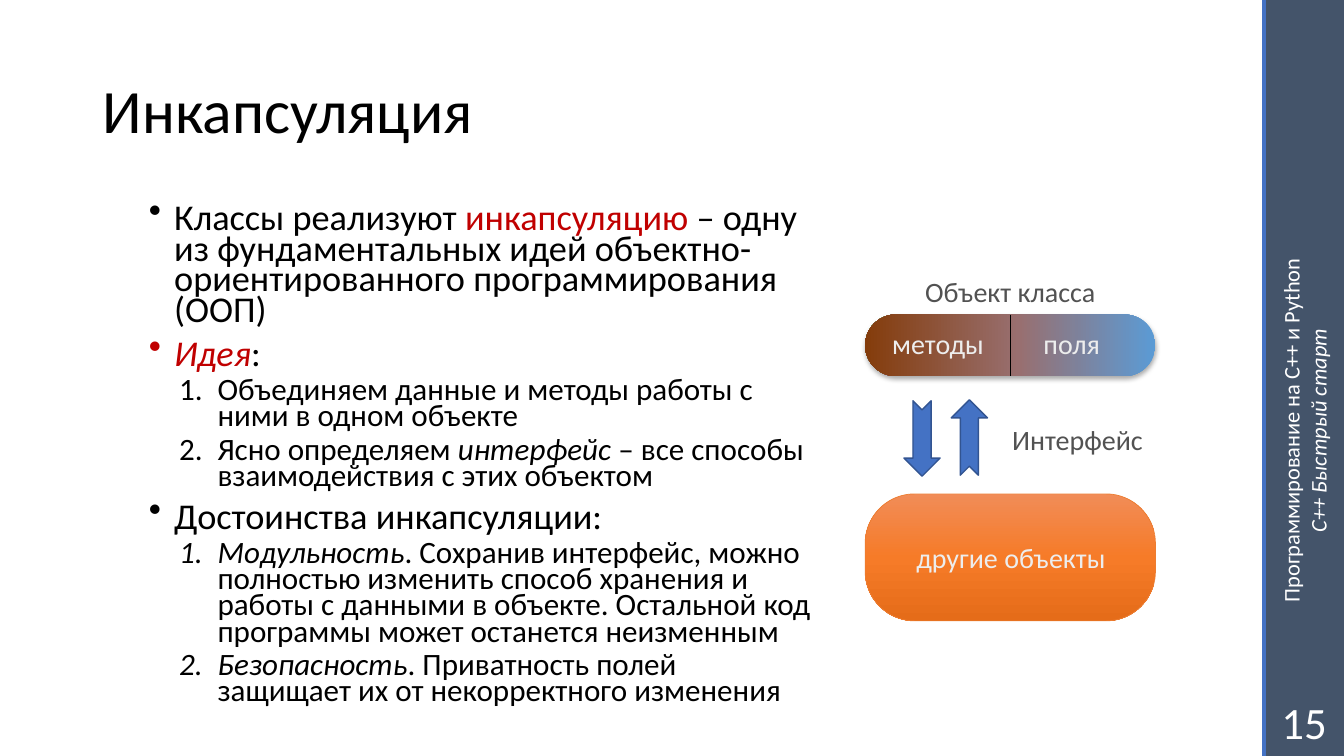
from dataclasses import dataclass

from lxml import etree
from pptx import Presentation
from pptx.dml.color import RGBColor
from pptx.enum.shapes import MSO_CONNECTOR as Connector, MSO_SHAPE as Shape
from pptx.enum.text import MSO_ANCHOR as Anchor, PP_ALIGN as Align
from pptx.oxml import parse_xml
from pptx.oxml.ns import nsdecls, qn
from pptx.util import Inches, Pt

FONT = "Calibri"
COLORS = {
    "white": "FFFFFF", "text": "000000", "accent": "C00000",
    "sidebar": "44546A", "blue": "4472C4", "blue edge": "325491",
    "pale": "EDEDED", "label": "525252", "orange edge": "ED7D31",
}
OBJECT_GRADIENT = [(0, "5B9BD5"), (47, "986F70"), (100, "843C0B")]
OTHERS_GRADIENT = [(0, "F18C57"), (50, "F67B28"), (100, "E56C19")]

# Each item: level and its runs; a run is (text, color, italic)
BODY = [
    (0, [("Классы реализуют ", "text", False), ("инкапсуляцию", "accent", False),
         (" – одну из фундаментальных идей объектно-ориентированного "
          "программирования (ООП)", "text", False)]),
    (0, [("Идея", "accent", True), (":", "text", False)]),
    (1, [("Объединяем данные и методы работы с ними в одном объекте", "text", False)]),
    (1, [("Ясно определяем ", "text", False), ("интерфейс ", "text", True),
         ("– все способы взаимодействия с этих объектом", "text", False)]),
    (0, [("Достоинства инкапсуляции:", "text", False)]),
    (1, [("Модульность", "text", True),
         (". Сохранив интерфейс, можно полностью изменить способ хранения и работы "
          "с данными в объекте. Остальной код программы может останется неизменным",
          "text", False)]),
    (1, [("Безопасность", "text", True),
         (". Приватность полей защищает их от некорректного изменения", "text", False)]),
]
# By level: size, space before, left margin, hanging indent, bullet tag and attributes
LEVELS = [
    (25.9, 10, 0.25, -0.25, "a:buChar", {"char": "•"}),
    (22.2, 5, 0.68, -0.38, "a:buAutoNum", {"type": "arabicPeriod"}),
]


@dataclass
class Box:
    left: int
    top: int
    width: int
    height: int

    def inner(self, x, y, width, height):
        """Inner box, given in percent of this one."""
        return Box(int(self.left + self.width * x / 100),
                   int(self.top + self.height * y / 100),
                   int(self.width * width / 100), int(self.height * height / 100))

    @property
    def frame(self):
        return self.left, self.top, self.width, self.height


def rgb(name):
    return RGBColor.from_string(COLORS[name])


def add_shape(slide, kind, box, fill=None, line=None, line_width=1):
    shape = slide.shapes.add_shape(kind, *box.frame)
    shape.shadow.inherit = False
    if fill:
        shape.fill.solid()
        shape.fill.fore_color.rgb = rgb(fill)
    if line:
        shape.line.color.rgb = rgb(line)
        shape.line.width = Pt(line_width)
    else:
        shape.line.fill.background()
    return shape


def set_gradient(shape, stops, angle):
    stop_xml = "".join(f'<a:gs pos="{position * 1000}"><a:srgbClr val="{color}"/></a:gs>'
                       for position, color in stops)
    gradient = parse_xml(f'<a:gradFill {nsdecls("a")} rotWithShape="1"><a:gsLst>{stop_xml}'
                         f'</a:gsLst><a:lin ang="{angle * 60000}" scaled="0"/></a:gradFill>')
    shape.fill.background()
    properties = shape.element.spPr
    properties.replace(properties.find(qn("a:noFill")), gradient)


def add_soft_shadow(shape):
    shadow = parse_xml(
        f'<a:outerShdw {nsdecls("a")} blurRad="{Pt(3.5)}" dist="{Pt(2.2)}" dir="5400000" '
        'algn="t" rotWithShape="0"><a:srgbClr val="000000"><a:alpha val="32000"/>'
        '</a:srgbClr></a:outerShdw>')
    shape.element.spPr.find(qn("a:effectLst")).append(shadow)


def add_line(slide, box, color, width):
    """Vertical line along the left side of the box."""
    line = slide.shapes.add_connector(Connector.STRAIGHT, box.left, box.top,
                                      box.left, box.top + box.height)
    line.line.color.rgb = rgb(color)
    line.line.width = Pt(width)
    etree.SubElement(line.element.spPr, qn("a:effectLst"))


def add_text(slide, box, text, size, color, align=Align.LEFT, anchor=Anchor.TOP, wrap=True):
    shape = slide.shapes.add_textbox(*box.frame)
    frame = shape.text_frame
    frame.word_wrap = wrap
    frame.vertical_anchor = anchor
    paragraph = frame.paragraphs[0]
    paragraph.alignment = align
    paragraph.font.name = FONT
    paragraph.font.size = Pt(size)
    paragraph.font.color.rgb = rgb(color)
    paragraph.add_run().text = text
    return shape


def add_sidebar(slide, box):
    add_shape(slide, Shape.RECTANGLE, box, "sidebar")
    add_line(slide, box, "blue", 3)
    # Course name, turned to read upwards
    course = add_text(slide, box.inner(-274.7, 52.67, 650.6, 8.53),
                      "Программирование на C++ и Python", 16, "white", Align.CENTER)
    course.rotation = 270
    paragraph = course.text_frame.paragraphs[0]
    paragraph.add_line_break()
    subtitle = paragraph.add_run()
    subtitle.text = "C++ Быстрый старт"
    subtitle.font.italic = True
    # Slide number
    add_text(slide, box.inner(0, 90.8, 100, 9.2), "15", 32, "white", Align.CENTER, Anchor.MIDDLE)


def add_title(slide, box):
    title = add_text(slide, box, "Инкапсуляция", 44, "text", anchor=Anchor.MIDDLE)
    title.text_frame.paragraphs[0].line_spacing = 0.9


def add_body(slide, box):
    frame = slide.shapes.add_textbox(*box.frame).text_frame
    frame.word_wrap = True
    for index, (level, runs) in enumerate(BODY):
        size, space, margin, indent, bullet, attributes = LEVELS[level]
        paragraph = frame.add_paragraph() if index else frame.paragraphs[0]
        paragraph.level = level
        paragraph.line_spacing = 0.7
        paragraph.space_before = Pt(space)
        paragraph.font.name = FONT
        paragraph.font.size = Pt(size)
        for text, color, italic in runs:
            run = paragraph.add_run()
            run.text = text
            run.font.color.rgb = rgb(color)
            run.font.italic = italic
        # Bullet or number with a hanging indent
        properties = paragraph._p.get_or_add_pPr()
        properties.set("marL", str(Inches(margin)))
        properties.set("indent", str(Inches(indent)))
        mark = etree.Element(qn(bullet), attributes)
        properties.find(qn("a:defRPr")).addprevious(mark)


def add_diagram(slide, box):
    # Class object: methods and fields
    bar = box.inner(0, 12.9, 100, 17.5)
    class_object = add_shape(slide, Shape.ROUNDED_RECTANGLE, bar)
    class_object.adjustments[0] = 0.5
    set_gradient(class_object, OBJECT_GRADIENT, 180)
    add_soft_shadow(class_object)
    add_line(slide, bar.inner(50, 0, 50, 100), "text", 1)
    add_text(slide, box.inner(0, 0, 100, 12.6), "Объект класса", 20, "label", Align.CENTER)
    # Interface arrows, down and up
    for x, y, rotation in [(6.6, 43, 90), (22.9, 42.7, 270)]:
        arrow = add_shape(slide, Shape.NOTCHED_RIGHT_ARROW, box.inner(x, y, 26, 10.3),
                          "blue", "blue edge")
        arrow.rotation = rotation
    # Other objects
    others = add_shape(slide, Shape.ROUNDED_RECTANGLE, box.inner(0, 63.9, 100, 36.1),
                       line="orange edge", line_width=0.5)
    others.adjustments[0] = 0.39
    set_gradient(others, OTHERS_GRADIENT, 90)
    # Captions
    for text, x, y, width, color in [("методы", 5.9, 14.9, 41.3, "pale"),
                                     ("поля", 58, 14.9, 29.5, "pale"),
                                     ("Интерфейс", 47.2, 42.1, 59, "label"),
                                     ("другие объекты", 14.2, 75.6, 79.9, "pale")]:
        add_text(slide, box.inner(x, y, width, 12.6), text, 20, color, wrap=False)


def main():
    presentation = Presentation()
    presentation.slide_width, presentation.slide_height = Inches(13.33), Inches(7.5)
    slide = presentation.slides.add_slide(presentation.slide_layouts[6])
    page = Box(0, 0, presentation.slide_width, presentation.slide_height)
    add_sidebar(slide, page.inner(94.07, 0, 5.93, 100))
    add_title(slide, page.inner(6.9, 5.33, 83.94, 19.33))
    add_body(slide, page.inner(10.35, 26.67, 51.16, 67.33))
    add_diagram(slide, page.inner(64.37, 35.6, 21.6, 46.53))
    presentation.save("out.pptx")


if __name__ == "__main__":
    main()
